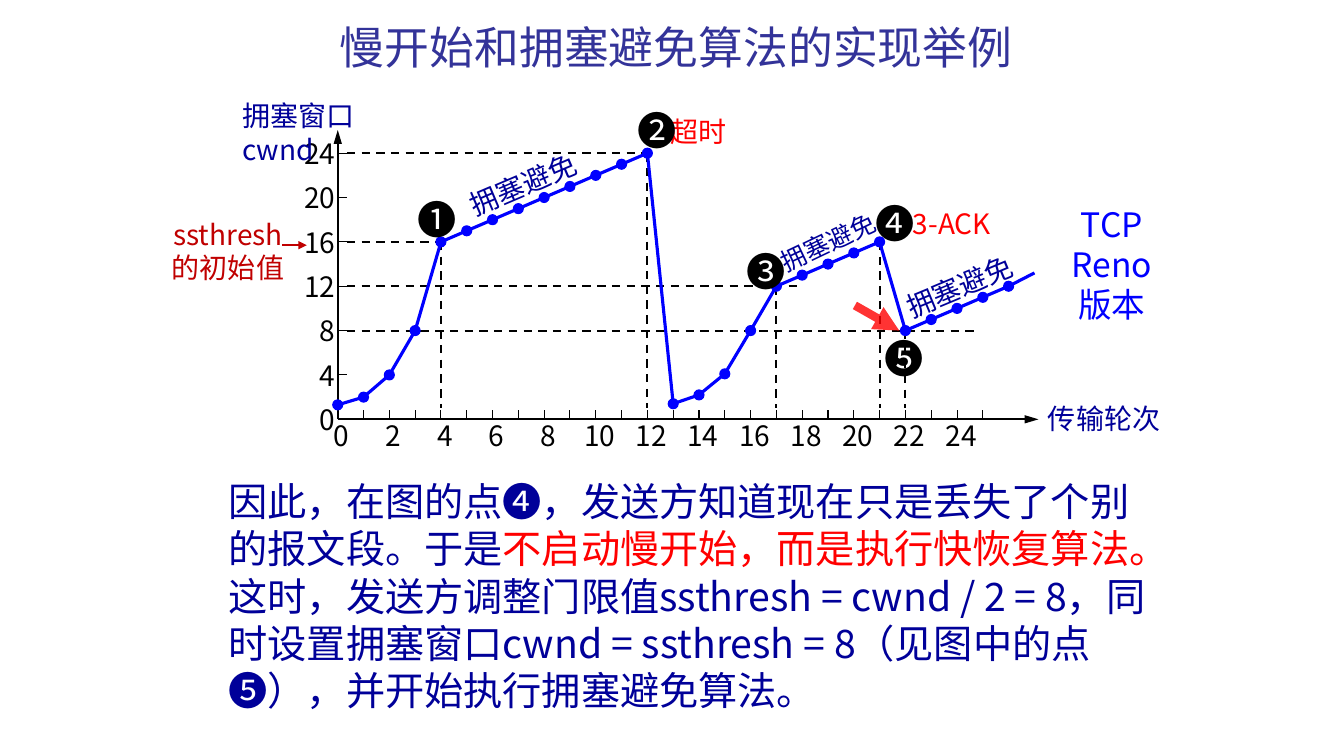
from dataclasses import dataclass

from lxml.etree import SubElement
from pptx import Presentation
from pptx.dml.color import RGBColor
from pptx.enum.dml import MSO_LINE_DASH_STYLE as Dash
from pptx.enum.shapes import MSO_CONNECTOR as Connector, MSO_SHAPE as Shape
from pptx.enum.text import MSO_ANCHOR as Anchor, PP_ALIGN as Align
from pptx.oxml.ns import qn
from pptx.util import Inches, Pt

FONT = "Noto Sans CJK SC"
BLACK, BLUE, NAVY = "000000", "0000FF", "000099"
RED, DARK_RED, INDIGO = "FF0000", "C00000", "333399"

# Congestion window in each transmission round, starting at round 0
CWND = [1.3, 2, 4, 8, *range(16, 25), 1.4, 2.2, 4.1, 8, *range(12, 17), *range(8, 13)]
CURVE_END = (27, 13.2)
LAST_ROUND, TOP_CWND = 27, 24
TICK, DOT = 0.09, 0.1

# Window level: round at which its dashed guide ends
LEVEL_GUIDES = {24: 12, 16: 4, 12: 18, 8: 24.7}
ROUND_GUIDES = [4, 12, 17, 21, 22]

# Text, round, window, size, colour, rotation
CURVE_LABELS = [
    ("拥塞避免", 7.17, 21.2, 20, NAVY, -23.2),
    ("拥塞避免", 19, 16, 18, NAVY, -25.5),
    ("拥塞避免", 24.1, 12, 20, NAVY, -22.6),
    ("超时", 14, 26, 20, RED, 0),
    ("3-ACK", 23.8, 17.7, 20, RED, 0),
    ("传输轮次", 29.7, 0.1, 20, NAVY, 0),
    ("TCP Reno\n版本", 30, 14, 24, BLUE, 0),
    ("ssthresh\n的初始值", -4.25, 15.2, 20, DARK_RED, 0),
    ("❶", 3.85, 18.1, 28, BLACK, 0),
    ("❷", 12.38, 26.1, 28, BLACK, 0),
    ("❸", 16.6, 13.4, 28, BLACK, 0),
    ("❹", 21.6, 17.7, 28, BLACK, 0),
    ("❺", 21.95, 5.5, 28, BLACK, 0),
]

BODY = [
    ("因此，在图的点❹，发送方知道现在只是丢失了个别的报文段。于是", NAVY),
    ("不启动慢开始，而是执行快恢复算法。", RED),
    ("这时，发送方调整门限值ssthresh = cwnd / 2 = 8，同时设置拥塞窗口"
     "cwnd = ssthresh = 8（见图中的点❺），并开始执行拥塞避免算法。", NAVY),
]


@dataclass
class Plot:
    """Maps rounds and window values into a box in inches."""
    left: float
    top: float
    width: float
    height: float

    def x(self, round_no):
        return self.left + self.width * round_no / LAST_ROUND

    def y(self, cwnd):
        return self.top + self.height * (1 - cwnd / TOP_CWND)

    def at(self, round_no, cwnd):
        return self.x(round_no), self.y(cwnd)


def rgb(hex_code):
    return RGBColor.from_string(hex_code)


def style(paragraph, size, color, align=Align.CENTER):
    paragraph.alignment = align
    font = paragraph.font
    font.name, font.size = FONT, Pt(size)
    font.color.rgb = rgb(color)
    east_asian = SubElement(font._element, qn("a:ea"))
    east_asian.set("typeface", FONT)


def add_label(slide, text, center, size, color, rotation=0, align=Align.CENTER, width=1.4):
    """Place text around a centre point."""
    x, y = center
    height = 0.44 * (text.count("\n") + 1)
    box = slide.shapes.add_textbox(Inches(x - width / 2), Inches(y - height / 2),
                                   Inches(width), Inches(height))
    box.rotation = rotation
    frame = box.text_frame
    frame.word_wrap = False
    frame.vertical_anchor = Anchor.MIDDLE
    frame.text = text
    for paragraph in frame.paragraphs:
        style(paragraph, size, color, align)


def add_line(slide, start, end, color=BLACK, width=0.75, dashed=False, arrow=None, alpha=None):
    line = slide.shapes.add_connector(Connector.STRAIGHT, *map(Inches, (*start, *end)))
    line.line.color.rgb = rgb(color)
    line.line.width = Pt(width)
    if dashed:
        line.line.dash_style = Dash.DASH
    outline = line.line._get_or_add_ln()
    if alpha:
        SubElement(outline.find(".//" + qn("a:srgbClr")), qn("a:alpha")).set("val", str(alpha * 1000))
    if arrow:
        SubElement(outline, qn("a:tailEnd"), type="triangle", w="med", len=arrow)
    SubElement(line._element.spPr, qn("a:effectLst"))


def add_title(slide, text, box):
    title = slide.shapes.title
    title.left, title.top, title.width, title.height = map(Inches, box)
    title.text_frame.text = text
    title.text_frame.vertical_anchor = Anchor.MIDDLE
    style(title.text_frame.paragraphs[0], 32, INDIGO)


def add_axes(slide, plot):
    origin = plot.at(0, 0)
    add_line(slide, origin, (plot.x(LAST_ROUND) + 0.04, origin[1]), width=1.5, arrow="lg")
    add_line(slide, origin, (origin[0], plot.top - 0.23), width=1.5, arrow="lg")
    for round_no in range(1, 26):
        x, y = plot.at(round_no, 0)
        add_line(slide, (x, y - TICK), (x, y))
    for cwnd in range(4, TOP_CWND + 1, 4):
        x, y = plot.at(0, cwnd)
        add_line(slide, (x, y), (x + TICK, y))
    for round_no in range(0, 25, 2):
        add_label(slide, str(round_no), (plot.x(round_no) + 0.04, origin[1] + 0.16), 20, BLACK, width=0.53)
    for cwnd in range(0, TOP_CWND + 1, 4):
        add_label(slide, str(cwnd), (plot.left - 0.19, plot.y(cwnd)), 20, BLACK,
                  align=Align.RIGHT, width=0.53)
    add_label(slide, "拥塞窗口\ncwnd", (plot.left - 0.38, plot.top - 0.21), 20, NAVY,
              align=Align.LEFT, width=1.33)


def add_guides(slide, plot):
    for cwnd, last_round in LEVEL_GUIDES.items():
        add_line(slide, (plot.left + TICK, plot.y(cwnd)), plot.at(last_round, cwnd), width=1.5, dashed=True)
    for round_no in ROUND_GUIDES:
        add_line(slide, plot.at(round_no, CWND[round_no]), plot.at(round_no, 1), width=1.5, dashed=True)


def add_curve(slide, plot):
    points = [tuple(map(Inches, plot.at(*point))) for point in [*enumerate(CWND), CURVE_END]]
    builder = slide.shapes.build_freeform(*points[0])
    builder.add_line_segments(points[1:], close=False)
    curve = builder.convert_to_shape()
    curve.shadow.inherit = False
    curve.fill.background()
    curve.line.color.rgb = rgb(BLUE)
    curve.line.width = Pt(2.25)
    for round_no, cwnd in enumerate(CWND):
        x, y = plot.at(round_no, cwnd)
        dot = slide.shapes.add_shape(Shape.OVAL, Inches(x - DOT / 2), Inches(y - DOT / 2),
                                     Inches(DOT), Inches(DOT))
        dot.shadow.inherit = False
        dot.fill.solid()
        dot.fill.fore_color.rgb = dot.line.color.rgb = rgb(BLUE)
        dot.line.width = Pt(0.75)


def add_cwnd_graph(slide, plot):
    add_axes(slide, plot)
    add_guides(slide, plot)
    add_curve(slide, plot)
    for text, round_no, cwnd, size, color, rotation in CURVE_LABELS:
        add_label(slide, text, plot.at(round_no, cwnd), size, color, rotation)
    add_line(slide, plot.at(-2.15, 15.7), plot.at(-1.2, 15.7), DARK_RED, 1.5, arrow="med")
    add_line(slide, plot.at(20.04, 10.27), plot.at(21.76, 8), RED, 6, arrow="med", alpha=80)


def add_explanation(slide, box):
    frame = slide.shapes.add_textbox(*map(Inches, box)).text_frame
    frame.word_wrap = True
    paragraph = frame.paragraphs[0]
    style(paragraph, 28, NAVY, Align.LEFT)
    for text, color in BODY:
        run = paragraph.add_run()
        run.text = text
        run.font.color.rgb = rgb(color)


def main():
    deck = Presentation()
    deck.slide_width, deck.slide_height = Inches(13.33), Inches(7.5)
    slide = deck.slides.add_slide(deck.slide_layouts[5])
    add_title(slide, "慢开始和拥塞避免算法的实现举例", (1.71, 0.17, 10, 0.58))
    add_cwnd_graph(slide, Plot(3.35, 1.52, 6.91, 2.64))
    add_explanation(slide, (2.17, 4.69, 9.47, 2.46))
    deck.save("out.pptx")


if __name__ == "__main__":
    main()
